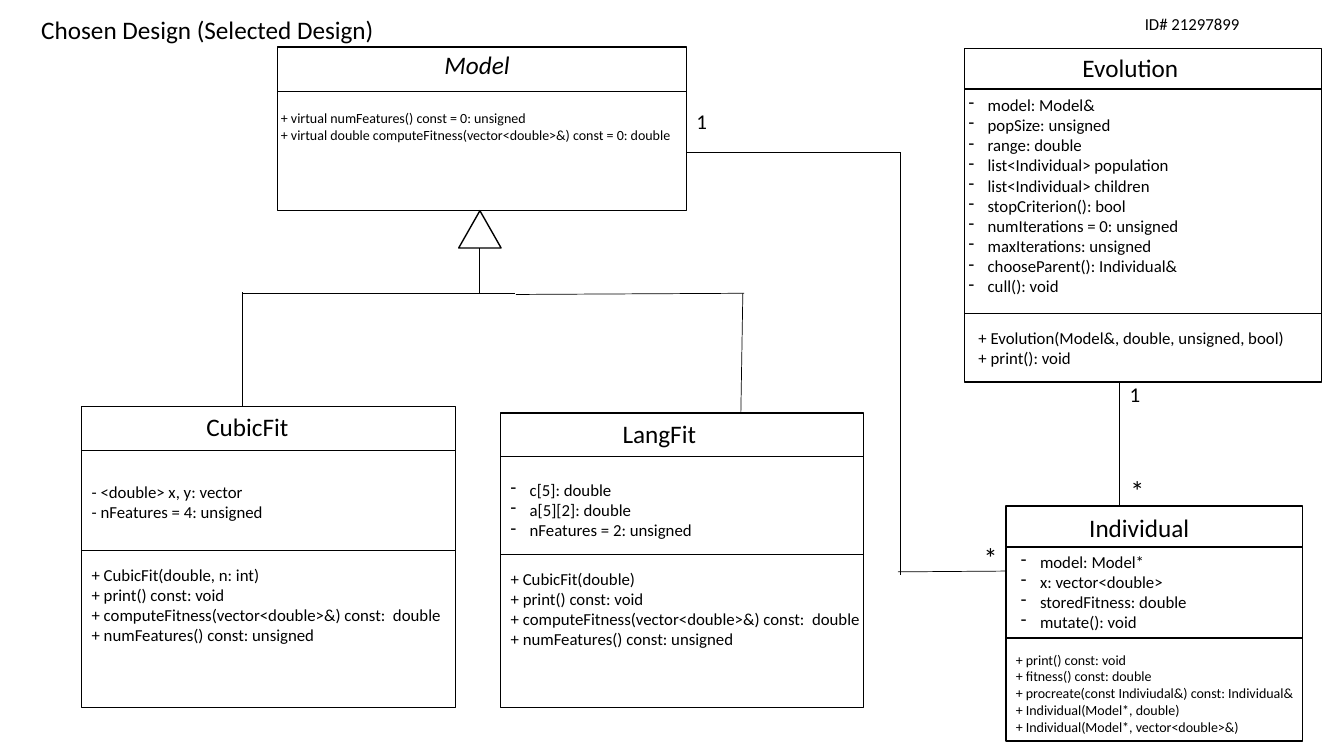
"""Build a UML class diagram slide."""
from dataclasses import dataclass
from itertools import pairwise

import lxml.etree
import pptx
import pptx.dml.color
import pptx.enum.shapes
import pptx.enum.text
import pptx.oxml.ns
import pptx.util

Cm = pptx.util.Cm
Pt = pptx.util.Pt
INK = "000000"
HANGING = Cm(0.48)


@dataclass(frozen=True)
class Text:
    """Lines of text with their top-left corner and width in cm."""
    left: float
    top: float
    width: float
    lines: tuple[str, ...]
    size: float = 12
    italic: bool = False
    dashes: bool = False


@dataclass(frozen=True)
class ClassBox:
    """A class: its compartments lie between successive edges, in cm."""
    left: float
    width: float
    edges: tuple[float, ...]
    texts: tuple[Text, ...]


@dataclass(frozen=True)
class Link:
    """A straight line between two points in cm."""
    start: tuple[float, float]
    end: tuple[float, float]


def colour(value: str) -> pptx.dml.color.RGBColor:
    """Turn a hex string into a colour."""
    return pptx.dml.color.RGBColor.from_string(value)


def apply(target, values: dict) -> None:
    """Set every named attribute on the target."""
    for name, value in values.items():
        setattr(target, name, value)


def draw_outline(slide, kind, left: float, top: float, width: float, height: float) -> None:
    """Draw an unfilled shape with a thin outline."""
    outline = slide.shapes.add_shape(kind, Cm(left), Cm(top), Cm(width), Cm(height))
    outline.shadow.inherit = False
    outline.fill.background()
    outline.line.color.rgb = colour(INK)
    outline.line.width = Pt(1)


def add_dash(paragraph) -> None:
    """Give a paragraph a hanging dash bullet."""
    properties = paragraph._p.get_or_add_pPr()
    properties.set("marL", str(int(HANGING)))
    properties.set("indent", str(-int(HANGING)))
    bullet = lxml.etree.SubElement(properties, pptx.oxml.ns.qn("a:buChar"))
    bullet.set("char", "-")


def draw_text(slide, text: Text) -> None:
    """Draw a text box, one paragraph per line."""
    height = Cm(0.25) + Pt(text.size * 1.22 * len(text.lines))
    box = slide.shapes.add_textbox(Cm(text.left), Cm(text.top), Cm(text.width), height)
    frame = box.text_frame
    apply(frame, {"word_wrap": True, "text": "\n".join(text.lines),
                  "vertical_anchor": pptx.enum.text.MSO_ANCHOR.TOP})
    for paragraph in frame.paragraphs:
        font = paragraph.runs[0].font
        apply(font, {"name": "Calibri", "size": Pt(text.size), "italic": text.italic})
        font.color.rgb = colour(INK)
        if text.dashes:
            add_dash(paragraph)


def draw_class(slide, box: ClassBox) -> None:
    """Draw the compartments of a class and their texts."""
    for top, bottom in pairwise(box.edges):
        draw_outline(slide, pptx.enum.shapes.MSO_SHAPE.RECTANGLE,
                     box.left, top, box.width, bottom - top)
    for text in box.texts:
        draw_text(slide, text)


def draw_link(slide, link: Link) -> None:
    """Draw a thin line without a shadow."""
    line = slide.shapes.add_connector(pptx.enum.shapes.MSO_CONNECTOR.STRAIGHT,
                                      *map(Cm, link.start + link.end))
    line.line.color.rgb = colour(INK)
    line.line.width = Pt(0.5)
    lxml.etree.SubElement(line._element.spPr, pptx.oxml.ns.qn("a:effectLst"))


def fit_operations(constructor: str) -> tuple[str, ...]:
    """List the operations shared by the concrete models."""
    return (constructor, "+ print() const: void",
            "+ computeFitness(vector<double>&) const:  double",
            "+ numFeatures() const: unsigned")


CLASSES = (
    ClassBox(2.06, 9.42, (10.24, 11.35, 13.87, 17.83), (
        Text(4.95, 10.24, 3.63, ("CubicFit",), 18),
        Text(2.06, 12.01, 9.42, ("- <double> x, y: vector", "- nFeatures = 4: unsigned")),
        Text(2.06, 14.1, 10.26, fit_operations("+ CubicFit(double, n: int)")))),
    ClassBox(12.62, 9.14, (10.41, 11.5, 13.97, 17.83), (
        Text(15.44, 10.41, 3.23, ("LangFit",), 18),
        Text(12.62, 11.96, 9.14, ("c[5]: double", "a[5][2]: double",
                                  "nFeatures = 2: unsigned"), dashes=True),
        Text(12.62, 14.2, 9.96, fit_operations("+ CubicFit(double)")))),
    ClassBox(6.99, 10.31, (1.19, 2.31, 5.31), (
        Text(10.95, 1.12, 3.38, ("Model",), 18, italic=True),
        Text(6.83, 2.64, 11.23, (
            "+ virtual numFeatures() const = 0: unsigned",
            "+ virtual double computeFitness(vector<double>&) const = 0: double"), 10))),
    ClassBox(25.35, 7.47, (12.75, 13.79, 16.08, 18.67), (
        Text(27.2, 12.78, 3.4, ("Individual",), 18),
        Text(25.48, 13.77, 7.7, ("model: Model*", "x: vector<double>",
                                 "storedFitness: double", "mutate(): void"), dashes=True),
        Text(25.35, 16.28, 7.85, (
            "+ print() const: void", "+ fitness() const: double",
            "+ procreate(const Indiviudal&) const: Individual&",
            "+ Individual(Model*, double)", "+ Individual(Model*, vector<double>&)"), 10))),
    ClassBox(24.31, 8.99, (1.22, 2.24, 7.9, 9.63), (
        Text(27.03, 1.19, 3.56, ("Evolution",), 18),
        Text(24.16, 2.26, 9.27, (
            "model: Model&", "popSize: unsigned", "range: double",
            "list<Individual> population", "list<Individual> children",
            "stopCriterion(): bool", "numIterations = 0: unsigned",
            "maxIterations: unsigned", "chooseParent(): Individual&",
            "cull(): void"), dashes=True),
        Text(24.41, 8.13, 8.8, ("+ Evolution(Model&, double, unsigned, bool)",
                                "+ print(): void")))),
)
INHERITANCE = (
    Link((12.09, 6.25), (12.09, 7.39)),
    Link((13.0, 7.42), (18.75, 7.39)),
    Link((18.72, 7.39), (18.67, 10.41)),
    Link((6.1, 7.39), (12.98, 7.39)),
    Link((6.12, 7.37), (6.12, 10.24)),
)
ASSOCIATIONS = (
    Link((25.35, 14.39), (22.63, 14.41)),
    Link((22.68, 14.48), (22.68, 3.84)),
    Link((22.68, 3.84), (17.3, 3.84)),
    Link((28.22, 9.63), (28.22, 12.75)),
)
LABELS = (
    Text(0.79, 0.23, 14.43, ("Chosen Design (Selected Design)",), 18),
    Text(28.6, 0.23, 3.3, ("ID# 21297899",)),
    Text(17.3, 2.62, 1.3, ("1",), 15),
    Text(24.54, 13.49, 1.3, ("*",), 20),
    Text(28.22, 9.5, 1.3, ("1",), 15),
    Text(28.24, 11.81, 1.3, ("*",), 20),
)


def main() -> None:
    """Assemble and save the slide."""
    deck = pptx.Presentation()
    apply(deck, {"slide_width": Cm(33.87), "slide_height": Cm(19.05)})
    slide = deck.slides.add_slide(deck.slide_layouts[6])
    for box in CLASSES:
        draw_class(slide, box)
    draw_outline(slide, pptx.enum.shapes.MSO_SHAPE.ISOSCELES_TRIANGLE, 11.56, 5.31, 1.07, 0.94)
    for link in INHERITANCE + ASSOCIATIONS:
        draw_link(slide, link)
    for label in LABELS:
        draw_text(slide, label)
    deck.save("out.pptx")


main()
